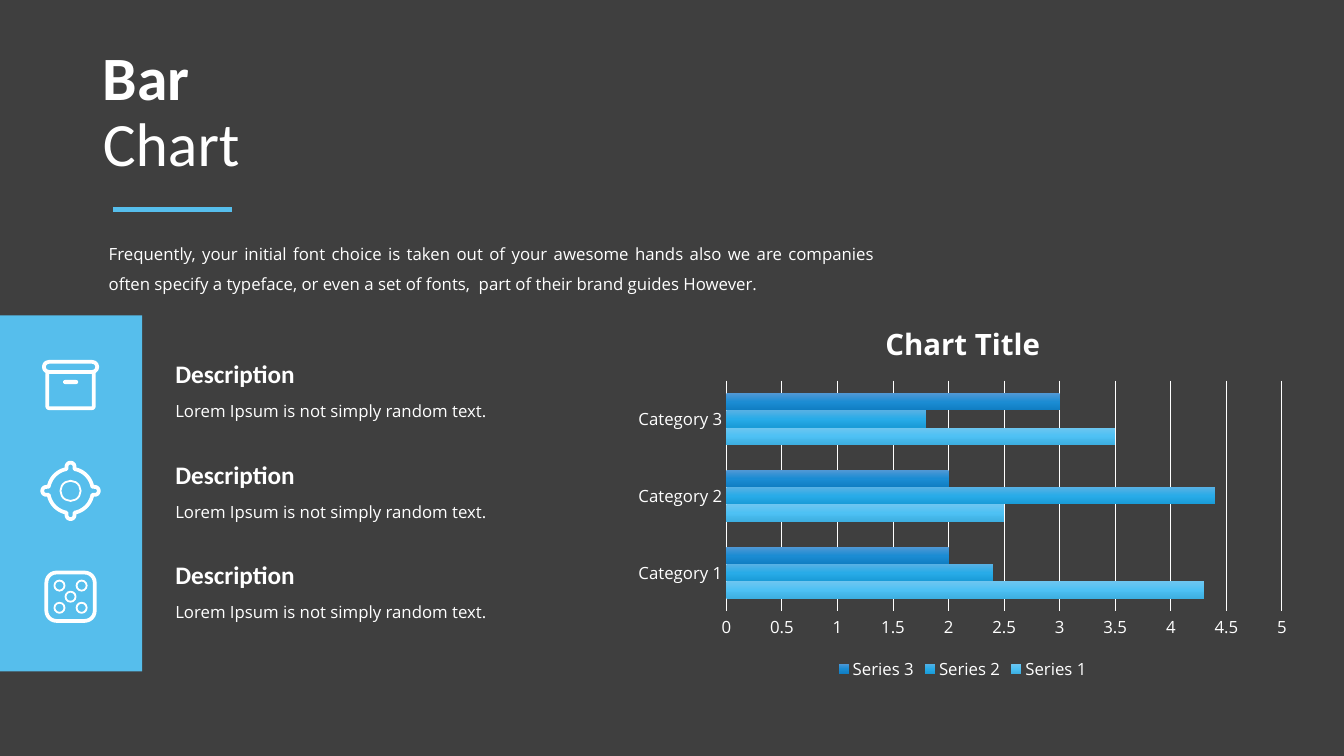
from dataclasses import dataclass
from math import asin, cos, pi, sin, sqrt

from pptx import Presentation
from pptx.chart.data import CategoryChartData
from pptx.dml.color import RGBColor
from pptx.enum.chart import XL_CHART_TYPE, XL_LEGEND_POSITION, XL_TICK_MARK
from pptx.enum.shapes import MSO_CONNECTOR, MSO_SHAPE
from pptx.enum.text import MSO_ANCHOR, PP_ALIGN
from pptx.oxml import parse_xml
from pptx.oxml.ns import nsdecls, qn
from pptx.util import Inches, Pt

BARS = XL_CHART_TYPE.BAR_CLUSTERED
BOTTOM = XL_LEGEND_POSITION.BOTTOM
NO_TICK = XL_TICK_MARK.NONE
RECT, ROUND, OVAL = MSO_SHAPE.RECTANGLE, MSO_SHAPE.ROUNDED_RECTANGLE, MSO_SHAPE.OVAL
LEFT, JUSTIFY = PP_ALIGN.LEFT, PP_ALIGN.JUSTIFY
MIDDLE = MSO_ANCHOR.MIDDLE
STRAIGHT = MSO_CONNECTOR.STRAIGHT

WIDE, HIGH = Inches(13.33), Inches(7.5)


@dataclass(frozen=True)
class Theme:
    back: str = "3F3F3F"
    blue: str = "56BEEC"
    white: str = "FFFFFF"
    head: str = "Calibri"
    body: str = "Open Sans"
    title: float = 44
    chart: float = 21
    label: float = 18
    text: float = 12
    thick: float = 2.7
    thin: float = 1.3


LOOK = Theme()
CATS = ["Category 1", "Category 2", "Category 3"]
SERIES = [  # name, values, gradient from top to bottom
    ("Series 1", (4.3, 2.5, 3.5), ("6EC6F0", "4EC1F4", "3DAFE1")),
    ("Series 2", (2.4, 4.4, 1.8), ("57B1E4", "28ABE8", "1A9CD8")),
    ("Series 3", (2, 2, 3), ("5098D5", "1B8CD3", "107EC3")),
]
INTRO = ("Frequently, your initial font choice is taken out of your awesome hands "
         "also we are companies often specify a typeface, or even a set of fonts,  "
         "part of their brand guides However.")


def rgb(code):
    return RGBColor.from_string(code)


def area(x, y, w, h):
    """Turn percent shares of the slide into lengths."""
    return [int(share * side / 100) for share, side in zip((x, y, w, h), (WIDE, HIGH) * 2)]


def style(font, size, face=LOOK.body, bold=False):
    font.size, font.name, font.bold = Pt(size), face, bold
    font.color.rgb = rgb(LOOK.white)


def paint(shape, fill=None, line=0):
    shape.shadow.inherit = False
    if fill:
        shape.fill.solid()
        shape.fill.fore_color.rgb = rgb(fill)
    else:
        shape.fill.background()
    if line:
        shape.line.color.rgb = rgb(LOOK.white)
        shape.line.width = Pt(line)
    else:
        shape.line.fill.background()


def add_text(slide, place, words, size, face=LOOK.body, bold=False,
             gap=1.0, before=0, align=LEFT):
    frame = slide.shapes.add_textbox(*area(*place)).text_frame
    frame.word_wrap = True
    para = frame.paragraphs[0]
    para.text = words
    para.alignment, para.line_spacing, para.space_before = align, gap, Pt(before)
    style(para.runs[0].font, size, face, bold)


def add_title(slide):
    title = slide.shapes.title
    title.left, title.top, title.width, title.height = area(6.9, 5.33, 86.25, 19.33)
    frame = title.text_frame
    frame.text = "Bar\vChart"
    frame.vertical_anchor = MIDDLE
    para = frame.paragraphs[0]
    para.alignment, para.line_spacing = LEFT, 0.9
    for run, bold in zip(para.runs, (True, False)):
        style(run.font, LOOK.title, LOOK.head, bold)


def add_rule(slide):
    x, y, end, _ = area(8.4, 27.73, 17.25, 0)
    rule = slide.shapes.add_connector(STRAIGHT, x, y, end, y)
    rule.line.color.rgb = rgb(LOOK.blue)
    rule.line.width = Pt(3.5)
    rule._element.spPr.append(parse_xml(f"<a:effectLst {nsdecls('a')}/>"))


def add_part(group, kind, x, y, w, h, line=LOOK.thick, fill=None, curve=None):
    """Draw one icon part, centred on x, y in inches."""
    part = group.shapes.add_shape(kind, Inches(x - w / 2), Inches(y - h / 2),
                                  Inches(w), Inches(h))
    if curve is not None:
        part.adjustments[0] = curve
    paint(part, fill, line)


def draw_box(group, x, y):
    add_part(group, ROUND, x, y - 0.18, 0.53, 0.1, curve=0.5)
    add_part(group, ROUND, x, y + 0.05, 0.46, 0.36, curve=0.05)
    add_part(group, ROUND, x, y - 0.03, 0.15, 0.04, 0, LOOK.white, 0.5)


def draw_target(group, x, y):
    ring, knob, reach = 0.22, 0.04, 0.24
    edge = asin(knob / reach)
    points = []
    for step in range(240):
        turn = step * pi / 120
        lean = (turn + pi / 4) % (pi / 2) - pi / 4
        far = ring
        if abs(lean) < edge:
            far = reach * cos(lean) + sqrt(knob ** 2 - (reach * sin(lean)) ** 2)
        points.append((Inches(x + far * cos(turn)), Inches(y + far * sin(turn))))
    path = group.shapes.build_freeform(*points[0])
    path.add_line_segments(points[1:], close=True)
    paint(path.convert_to_shape(), line=LOOK.thick)
    add_part(group, OVAL, x, y, 0.2, 0.2, LOOK.thin)


def draw_dice(group, x, y):
    add_part(group, ROUND, x, y, 0.48, 0.48, curve=0.21)
    for across, down in ((-1, -1), (1, -1), (0, 0), (-1, 1), (1, 1)):
        add_part(group, OVAL, x + across * 0.11, y + down * 0.11, 0.1, 0.1, LOOK.thin)


def add_items(slide):
    for row, draw in enumerate((draw_box, draw_target, draw_dice)):
        draw(slide.shapes.add_group_shape(), 0.7, 3.82 + row * 1.05)
        shift = row * 13.27
        add_text(slide, (12.3, 46.8 + shift, 12.2, 5.33), "Description",
                 LOOK.label, LOOK.head, True)
        add_text(slide, (12.3, 51.07 + shift, 25, 5.07),
                 "Lorem Ipsum is not simply random text.", LOOK.text, gap=1.5)


def shade(series, colors):
    stops = "".join(f'<a:gs pos="{i * 50000}"><a:srgbClr val="{code}"/></a:gs>'
                    for i, code in enumerate(colors))
    props = series.format.fill and series._element.find(qn("c:spPr"))
    props.append(parse_xml(f"<a:gradFill {nsdecls('a')}><a:gsLst>{stops}</a:gsLst>"
                           '<a:lin ang="5400000" scaled="0"/></a:gradFill>'))


def add_bars(slide):
    data = CategoryChartData()
    data.categories = CATS
    for name, values, _ in SERIES:
        data.add_series(name, values)
    chart = slide.shapes.add_chart(BARS, *area(46.5, 40, 50.25, 50.53), data).chart
    style(chart.font, LOOK.text)
    chart.has_title = True
    head = chart.chart_title.text_frame
    head.text = "Chart Title"
    style(head.paragraphs[0].runs[0].font, LOOK.chart, bold=True)
    chart.has_legend = True
    chart.legend.position, chart.legend.include_in_layout = BOTTOM, False
    style(chart.legend.font, LOOK.text)
    plot = chart.plots[0]
    plot.gap_width, plot.overlap, plot.vary_by_categories = 150, 0, False
    for series, (_, _, colors) in zip(plot.series, SERIES):
        shade(series, colors)
    # Axes and grid
    cats, scale = chart.category_axis, chart.value_axis
    for axis in (cats, scale):
        axis.major_tick_mark = axis.minor_tick_mark = NO_TICK
        style(axis.tick_labels.font, LOOK.text)
    scale.minimum_scale, scale.maximum_scale, scale.major_unit = 0, 5, 0.5
    scale.format.line.fill.background()
    scale.has_major_gridlines = True
    for line, width in ((cats.format.line, 1), (scale.major_gridlines.format.line, 0.75)):
        line.color.rgb = rgb(LOOK.white)
        line.width = Pt(width)


def main():
    deck = Presentation()
    deck.slide_width, deck.slide_height = WIDE, HIGH
    slide = deck.slides.add_slide(deck.slide_layouts[5])
    slide.background.fill.solid()
    slide.background.fill.fore_color.rgb = rgb(LOOK.back)
    # Heading
    add_title(slide)
    add_rule(slide)
    add_text(slide, (7.35, 30.27, 58.5, 9.87), INTRO, LOOK.text,
             gap=1.5, before=10, align=JUSTIFY)
    # Icon panel and its items
    panel = slide.shapes.add_shape(RECT, *area(0, 41.73, 10.58, 47.07))
    paint(panel, LOOK.blue)
    add_items(slide)
    add_bars(slide)
    deck.save("out.pptx")


main()
